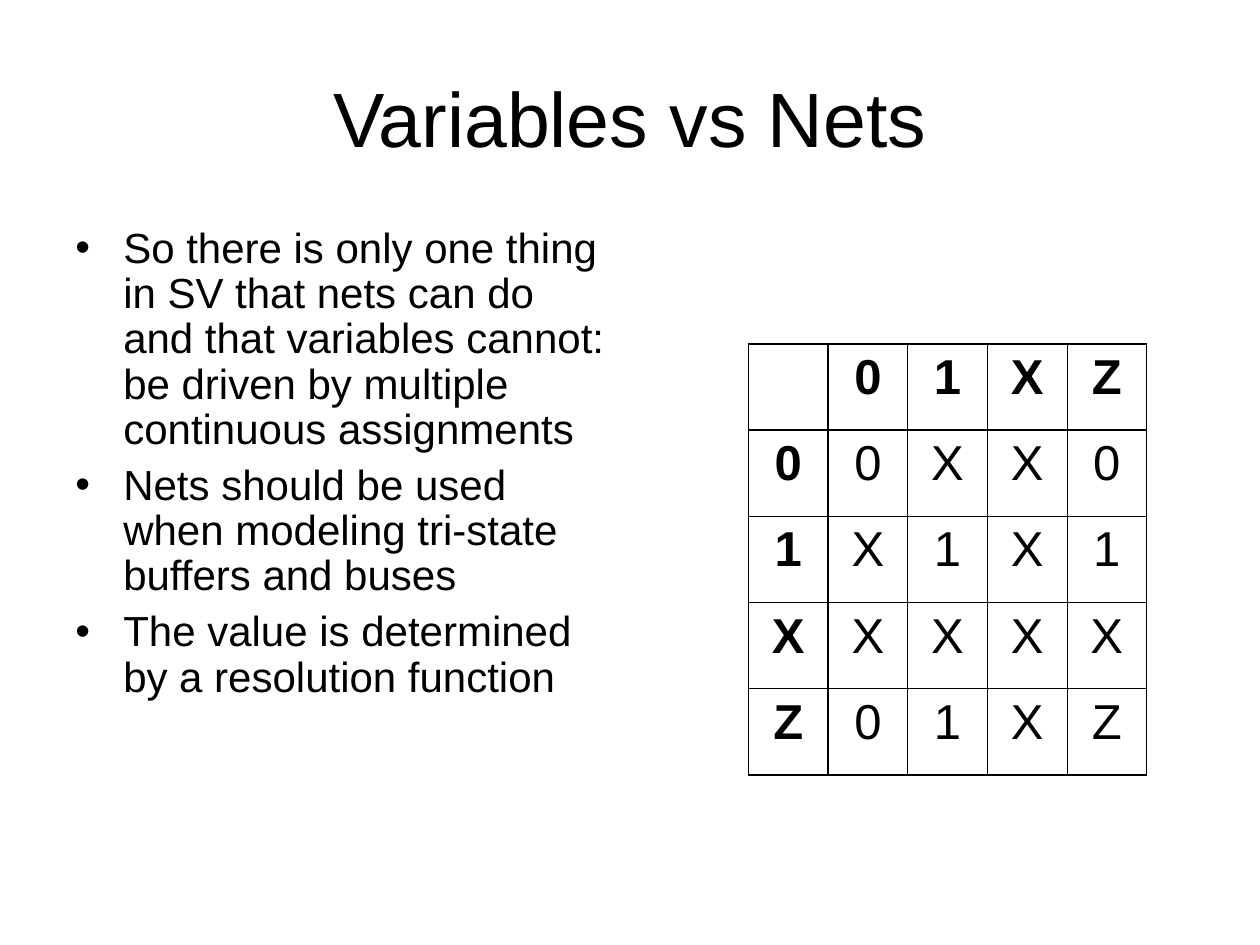
from lxml.etree import SubElement
from pptx import Presentation
from pptx.dml.color import RGBColor
from pptx.enum.text import MSO_ANCHOR as Anchor, PP_ALIGN as Align
from pptx.oxml.ns import qn
from pptx.util import Inches, Pt

BLACK = RGBColor(0x00, 0x00, 0x00)
FONT = "Arial"
THICK, THIN = Pt(1.08), Pt(0.45)
HANGING = Inches(0.38)

BULLETS = [
    "So there is only one thing in SV that nets can do and that variables "
    "cannot: be driven by multiple continuous assignments",
    "Nets should be used when modeling tri-state buffers and buses",
    "The value is determined by a resolution function",
]
RESOLUTION = [
    ["", "0", "1", "X", "Z"],
    ["0", "0", "X", "X", "0"],
    ["1", "X", "1", "X", "1"],
    ["X", "X", "X", "X", "X"],
    ["Z", "0", "1", "X", "Z"],
]


def format_font(font, size, bold=False):
    """Apply the slide's typeface and colour to a font."""
    font.name = FONT
    font.size = Pt(size)
    font.bold = bold
    font.color.rgb = BLACK


def add_text_frame(slide, left, top, width, height):
    """Add a wrapping text box and return its text frame."""
    shape = slide.shapes.add_textbox(
        Inches(left), Inches(top), Inches(width), Inches(height))
    shape.text_frame.word_wrap = True
    return shape.text_frame


def add_title(slide, text):
    """Add the centred slide title."""
    text_frame = add_text_frame(slide, 0.5, 0.3, 9, 1.25)
    text_frame.vertical_anchor = Anchor.MIDDLE
    text_frame.text = text
    paragraph = text_frame.paragraphs[0]
    paragraph.alignment = Align.CENTER
    format_font(paragraph.runs[0].font, 44)


def add_bullets(slide, texts):
    """Add the bulleted list."""
    text_frame = add_text_frame(slide, 0.5, 1.75, 4.42, 4.95)
    text_frame.text = "\n".join(texts)
    for index, paragraph in enumerate(text_frame.paragraphs):
        properties = paragraph._p.get_or_add_pPr()
        properties.set("marL", str(HANGING))
        properties.set("indent", str(-HANGING))
        SubElement(properties, qn("a:buFont"), typeface=FONT)
        SubElement(properties, qn("a:buChar"), char="•")
        paragraph.line_spacing = 0.9
        paragraph.space_before = Pt(6 if index else 0)
        format_font(paragraph.runs[0].font, 24)


def set_borders(cell, widths):
    """Draw the four cell borders in the order left, right, top, bottom."""
    properties = cell._tc.get_or_add_tcPr()
    for side, width in zip("LRTB", widths):
        line = SubElement(properties, qn(f"a:ln{side}"), w=str(width))
        fill = SubElement(line, qn("a:solidFill"))
        SubElement(fill, qn("a:srgbClr"), val=str(BLACK))


def add_resolution_table(slide, rows):
    """Add the net resolution table with thick lines around its headers."""
    size = len(rows)
    table = slide.shapes.add_table(
        size, size, Inches(5.94), Inches(2.73), Inches(3.16), Inches(3.42)).table
    table.first_row = table.horz_banding = False
    grid_widths = [THICK if line in (0, 1, size) else THIN
                   for line in range(size + 1)]
    for row, values in enumerate(rows):
        for column, value in enumerate(values):
            cell = table.cell(row, column)
            set_borders(cell, grid_widths[column:column + 2]
                        + grid_widths[row:row + 2])
            cell.fill.background()
            cell.text_frame.text = value
            paragraph = cell.text_frame.paragraphs[0]
            paragraph.alignment = Align.CENTER
            for run in paragraph.runs:
                format_font(run.font, 28, bold=row == 0 or column == 0)


def main():
    """Build and save the slide."""
    presentation = Presentation()
    presentation.slide_width = Inches(10)
    presentation.slide_height = Inches(7.5)
    slide = presentation.slides.add_slide(presentation.slide_layouts[6])
    add_title(slide, "Variables vs Nets")
    add_bullets(slide, BULLETS)
    add_resolution_table(slide, RESOLUTION)
    presentation.save("out.pptx")


if __name__ == "__main__":
    main()
